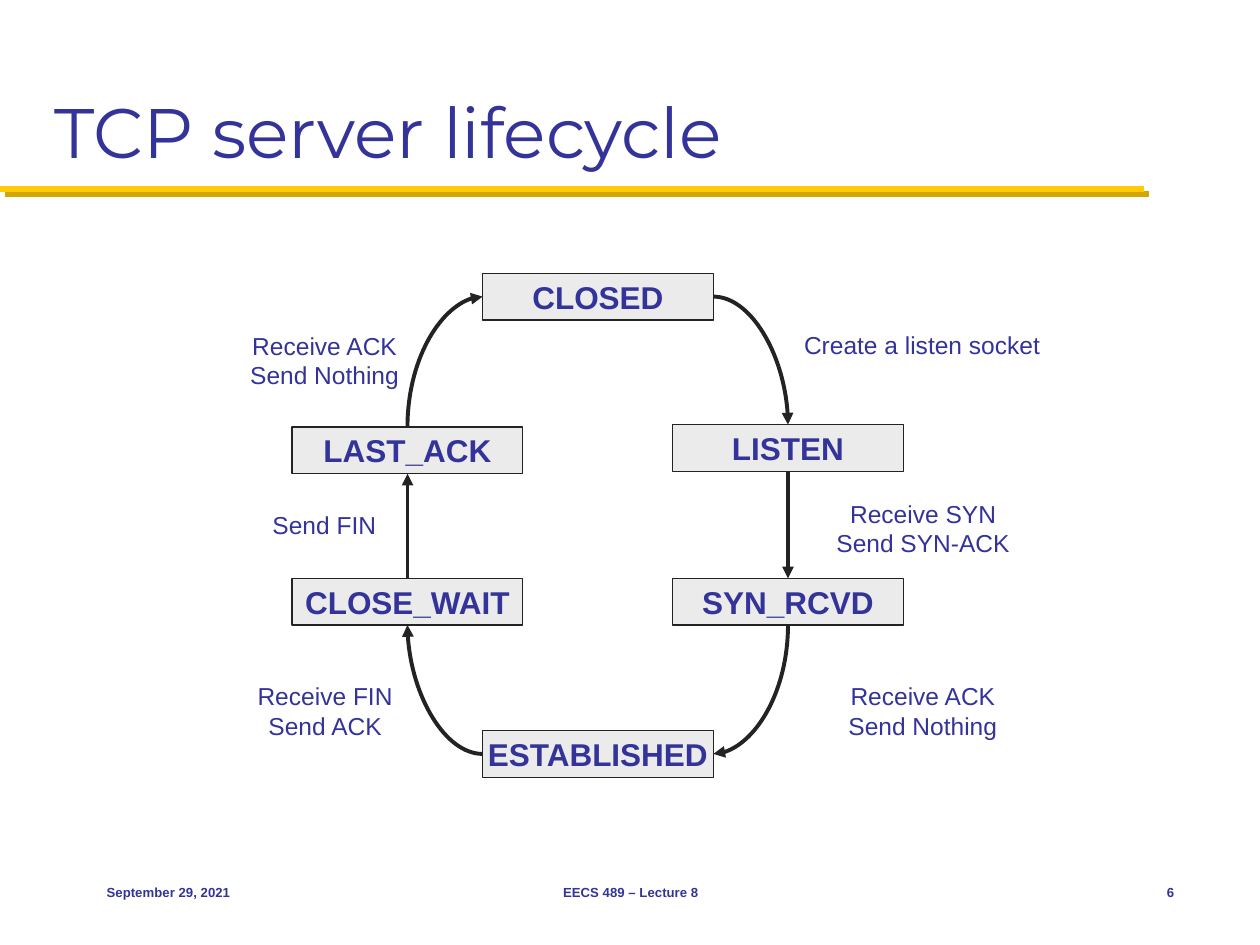
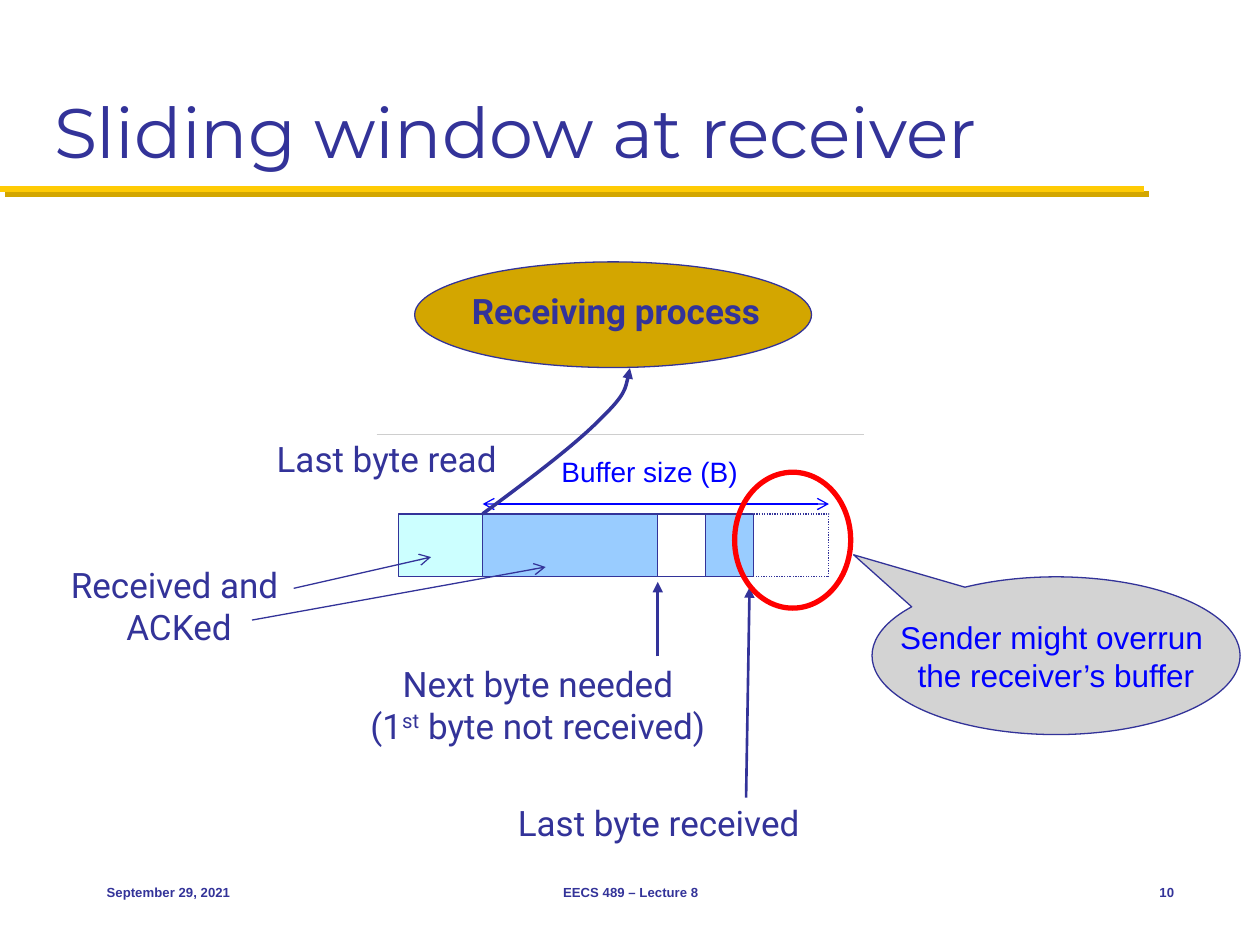
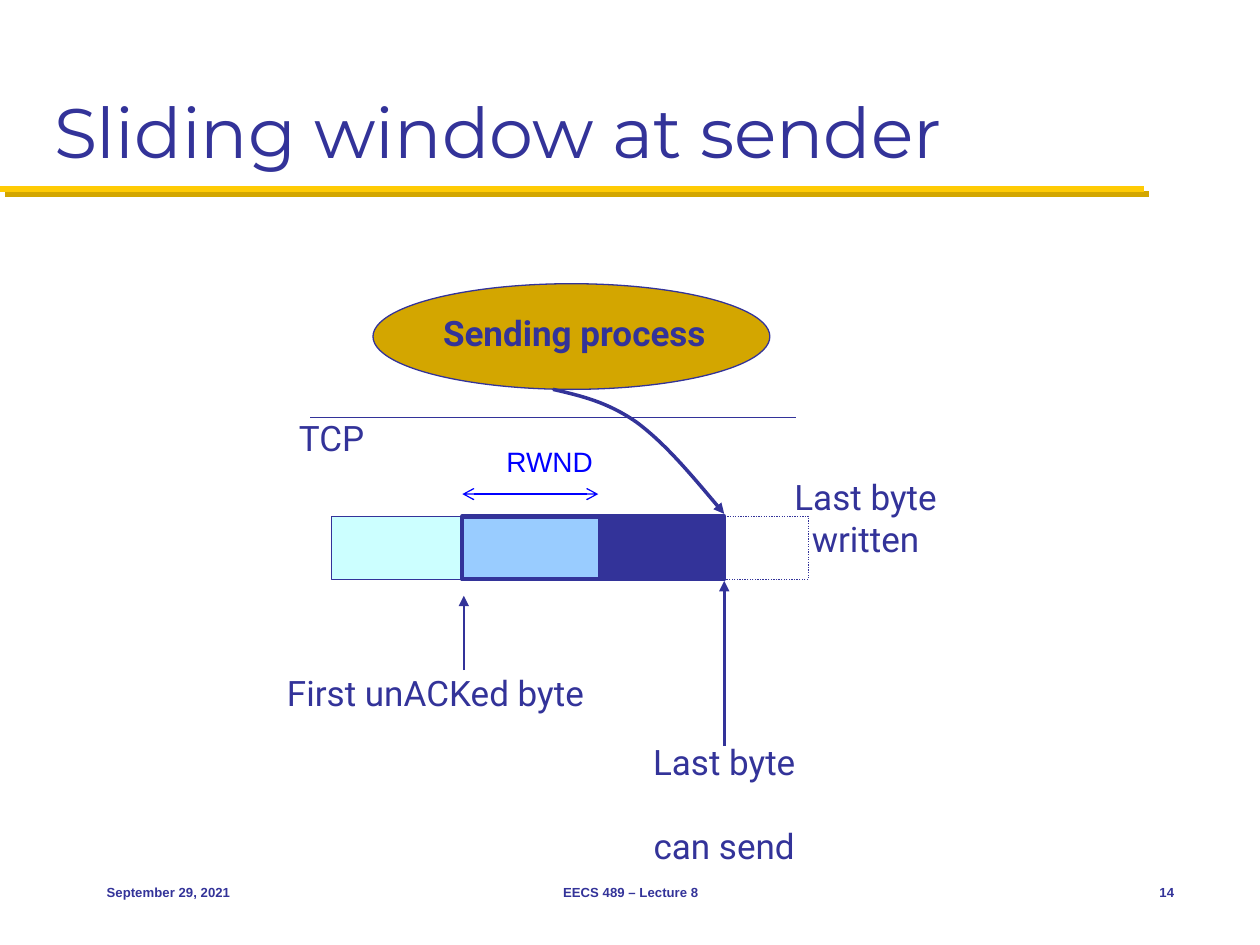
from lxml import etree
from pptx import Presentation
from pptx import util as u
from pptx.dml.color import RGBColor
from pptx.enum import dml, shapes, text
from pptx.oxml.ns import qn

COLOURS = {
    "navy": "333399", "yellow": "FFCB05", "gold": "D3A600", "ink": "232323",
    "state": "EBEBEB", "rule": "CECECE", "cyan": "CCFFFF", "sky": "99CCFF",
    "white": "FFFFFF", "blue": "0000FF", "red": "FF0000", "callout": "D3D3D3",
}
RECT, OVAL = shapes.MSO_SHAPE.RECTANGLE, shapes.MSO_SHAPE.OVAL
STRAIGHT, CURVE = shapes.MSO_CONNECTOR.STRAIGHT, shapes.MSO_CONNECTOR.CURVE
ROBOTO = {"name": "Roboto", "size": u.Pt(20)}
BLUE_LABEL = {"size": u.Pt(16), "colour": "blue"}


def put(slide, form, box, words="", fill=None, outline="navy", weight=0.75, dash=None,
        align="CENTER", anchor="MIDDLE", wrap=False, gap=0, colour="navy", **font):
    place = [u.Cm(length) for length in box]
    if form is None:
        item = slide.shapes.add_textbox(*place)
    else:
        item = slide.shapes.add_shape(form, *place)
        item.shadow.inherit = False
        if fill:
            item.fill.solid()
            item.fill.fore_color.rgb = RGBColor.from_string(COLOURS[fill])
        else:
            item.fill.background()
        item.line.color.rgb = RGBColor.from_string(COLOURS[outline])
        item.line.width = u.Pt(weight)
        if dash:
            item.line.dash_style = dash
    if not words:
        return item
    frame = item.text_frame
    frame.word_wrap = wrap
    frame.vertical_anchor = text.MSO_ANCHOR[anchor]
    style = {"name": "Arial", "size": u.Pt(18), "bold": False, **font}
    for number, sentence in enumerate(words.split("\n")):
        paragraph = frame.add_paragraph() if number else frame.paragraphs[0]
        paragraph.alignment = text.PP_ALIGN[align]
        if number and gap:
            paragraph.space_before = u.Pt(gap)
        for row, line in enumerate(sentence.split("\v")):
            if row:
                paragraph.add_line_break()
            for order, piece in enumerate(line.split("^")):
                run = paragraph.add_run()
                run.text = piece
                for key, value in style.items():
                    setattr(run.font, key, value)
                run.font.color.rgb = RGBColor.from_string(COLOURS[colour])
                if order % 2:
                    run.font._element.set("baseline", "30000")
    return item


def stroke(item, colour="navy", weight=0.75, **ends):
    item.line.color.rgb = RGBColor.from_string(COLOURS[colour])
    item.line.width = u.Pt(weight)
    outline = item._element.spPr.find(qn("a:ln"))
    for end in ("headEnd", "tailEnd"):
        if end in ends:
            etree.SubElement(outline, qn("a:" + end), type=ends[end])
    return etree.SubElement(item._element.spPr, qn("a:effectLst"))


deck = Presentation()
deck.slide_width, deck.slide_height = u.Cm(25.4), u.Cm(19.05)

pages = []
for title, page_number in [
    ("TCP server lifecycle", "6"),
    ("Sliding window at receiver", "10"),
    ("Sliding window at sender", "14"),
]:
    page = deck.slides.add_slide(deck.slide_layouts[6])
    band = page.shapes.add_connector(STRAIGHT, 0, u.Cm(3.81), u.Cm(23.06), u.Cm(3.81))
    effects = stroke(band, "yellow", 3.5)
    shadow = etree.SubElement(effects, qn("a:outerShdw"), dist="53340", dir="2700000",
                              algn="ctr", rotWithShape="0")
    etree.SubElement(shadow, qn("a:srgbClr"), val=COLOURS["gold"])
    put(page, None, (0.84, 0.43, 23.7, 3.18), title, align="LEFT", anchor="BOTTOM",
        wrap=True, name="Montserrat", size=u.Pt(40))
    for left, width, footer, align in [
        (1.9, 5.28, "September 29, 2021", "LEFT"),
        (8.69, 8.05, "EECS 489 – Lecture 8", "CENTER"),
        (22.22, 1.7, page_number, "RIGHT"),
    ]:
        put(page, None, (left, 17.35, width, 1.27), footer, align=align, wrap=True,
            size=u.Pt(7.5), bold=True)
    pages.append(page)
lifecycle, receiver, sender = pages

states = {}
for state, left, top in [
    ("CLOSED", 9.73, 5.51),
    ("LISTEN", 13.56, 8.56),
    ("SYN_RCVD", 13.56, 11.66),
    ("ESTABLISHED", 9.73, 14.73),
    ("CLOSE_WAIT", 5.89, 11.66),
    ("LAST_ACK", 5.89, 8.61),
]:
    states[state] = put(lifecycle, RECT, (left, top, 4.65, 0.94), state, fill="state",
                        outline="ink", bold=True)

TOP, LEFT, BOTTOM, RIGHT = range(4)
for start, start_side, finish, finish_side, route, arrow_end in [
    ("CLOSED", RIGHT, "LISTEN", TOP, CURVE, "tailEnd"),
    ("LISTEN", BOTTOM, "SYN_RCVD", TOP, STRAIGHT, "tailEnd"),
    ("ESTABLISHED", RIGHT, "SYN_RCVD", BOTTOM, CURVE, "headEnd"),
    ("ESTABLISHED", LEFT, "CLOSE_WAIT", BOTTOM, CURVE, "tailEnd"),
    ("CLOSE_WAIT", TOP, "LAST_ACK", BOTTOM, STRAIGHT, "tailEnd"),
    ("CLOSED", LEFT, "LAST_ACK", TOP, CURVE, "headEnd"),
]:
    transition = lifecycle.shapes.add_connector(route, 0, 0, 0, 0)
    transition.begin_connect(states[start], start_side)
    transition.end_connect(states[finish], finish_side)
    if route == CURVE:
        transition._element.spPr.find(qn("a:prstGeom")).set("prst", "curvedConnector2")
    stroke(transition, "ink", 2.25, **{arrow_end: "triangle"})

for box, event in [
    ((15.95, 6.53, 5.28, 0.86), "Create a listen socket"),
    ((16.59, 9.93, 4.04, 1.45), "Receive SYN\nSend SYN-ACK"),
    ((16.84, 13.61, 3.53, 1.45), "Receive ACK\nSend Nothing"),
    ((4.93, 13.61, 3.25, 1.45), "Receive FIN\nSend ACK"),
    ((5.23, 10.16, 2.62, 0.86), "Send FIN"),
    ((4.78, 6.55, 3.53, 1.45), "Receive ACK\nSend Nothing"),
]:
    put(lifecycle, None, box, event, anchor="TOP", size=u.Pt(14))

for page, oval_box, label_box, process in [
    (receiver, (8.36, 5.28, 8, 2.13), (9.04, 5.72, 6.76, 1.09), "Receiving process"),
    (sender, (7.52, 5.72, 8, 2.13), (8.48, 6.15, 6.2, 1.09), "Sending process"),
]:
    put(page, OVAL, oval_box, fill="gold")
    put(page, None, label_box, process, anchor="TOP", bold=True, **ROBOTO)

DOTTED = dml.MSO_LINE.ROUND_DOT
for page, top, left, width, fill, weight, dash in [
    (receiver, 10.36, 8.03, 1.7, "cyan", 0.75, None),
    (receiver, 10.36, 9.73, 3.63, "sky", 0.75, None),
    (receiver, 10.36, 13.26, 0.97, "white", 0.75, None),
    (receiver, 10.36, 15.16, 1.55, None, 0.75, DOTTED),
    (receiver, 10.36, 14.22, 0.97, "sky", 0.75, None),
    (sender, 10.41, 6.68, 2.67, "cyan", 0.75, None),
    (sender, 10.41, 9.32, 5.28, "sky", 2.5, None),
    (sender, 10.41, 14.6, 1.7, None, 0.75, DOTTED),
    (sender, 10.41, 12.06, 2.54, "navy", 0.75, None),
]:
    put(page, RECT, (left, top, width, 1.27), fill=fill, weight=weight, dash=dash)

POINTER = {"weight": 1.5, "tailEnd": "triangle"}
SPAN = {"colour": "blue", "headEnd": "arrow", "tailEnd": "arrow"}
for page, ends, look in [
    (receiver, (7.59, 8.76, 17.42, 8.76), {"colour": "rule"}),
    (receiver, (13.26, 13.23, 13.26, 11.73), POINTER),
    (receiver, (15.04, 16.08, 15.11, 11.84), POINTER),
    (receiver, (5.92, 11.86, 8.69, 11.23), {"tailEnd": "arrow"}),
    (receiver, (5.08, 12.5, 11, 11.43), {"tailEnd": "arrow"}),
    (receiver, (9.73, 10.16, 16.71, 10.16), SPAN),
    (sender, (6.25, 8.41, 16.05, 8.41), {}),
    (sender, (9.35, 13.51, 9.35, 12.01), POINTER),
    (sender, (14.6, 15.04, 14.6, 11.71), POINTER),
    (sender, (9.32, 9.96, 12.06, 9.96), SPAN),
]:
    stroke(page.shapes.add_connector(STRAIGHT, *[u.Cm(end) for end in ends]), **look)

for page, start, bends in [
    (receiver, (9.73, 10.36), [(10.69, 9.65), (11.63, 8.94), (12.12, 8.43),
                               (12.62, 7.95), (12.65, 7.67), (12.7, 7.42)]),
    (sender, (11.15, 7.85), [(11.71, 7.98), (12.24, 8.1), (12.83, 8.51),
                             (13.41, 8.94), (14, 9.65), (14.6, 10.36)]),
]:
    builder = page.shapes.build_freeform(u.Cm(start[0]), u.Cm(start[1]))
    builder.add_line_segments([(u.Cm(x), u.Cm(y)) for x, y in bends], close=False)
    data_flow = builder.convert_to_shape()
    outline = data_flow._element.find(".//" + qn("a:path"))
    legs = outline.findall(qn("a:lnTo"))
    for first in (0, 3):
        bezier = etree.SubElement(outline, qn("a:cubicBezTo"))
        for leg in legs[first:first + 3]:
            bezier.append(leg[0])
            outline.remove(leg)
    data_flow.fill.background()
    stroke(data_flow, weight=2, tailEnd="triangle")

for page, box, label, extra in [
    (receiver, (7.16, 13.23, 7.37, 1.96), "Next byte needed\v(1^st^ byte not received)", {}),
    (receiver, (5.28, 8.69, 5.03, 1.12), "Last byte read", {}),
    (receiver, (10.13, 16.03, 6.3, 1.12), "Last byte received", {}),
    (receiver, (1.17, 11.23, 4.88, 1.96), "Received and \vACKed", {}),
    (sender, (5.44, 13.41, 6.68, 1.12), "First unACKed byte", {}),
    (sender, (12.9, 14.81, 3.4, 1.96), "Last byte\ncan send", {"gap": 24}),
    (sender, (5.72, 8.28, 1.93, 1.09), "TCP", {}),
    (sender, (15.55, 9.47, 3.8, 1.96), "Last byte written", {"wrap": True}),
]:
    put(page, None, box, label, anchor="TOP", **ROBOTO, **extra)

for page, box, measure in [
    (receiver, (11.07, 9.04, 5, 1.12), "Buffer size (B)"),
    (sender, (9.96, 8.84, 2.54, 0.94), "RWND"),
]:
    put(page, None, box, measure, align="LEFT", anchor="TOP", wrap=True, **BLUE_LABEL)

put(receiver, OVAL, (14.81, 9.52, 2.34, 2.74), outline="red", weight=3)
warning = put(receiver, shapes.MSO_SHAPE.OVAL_CALLOUT, (17.58, 11.63, 7.42, 3.18),
              "Sender might overrun \vthe receiver’s buffer", fill="callout", colour="blue")
warning.adjustments[0], warning.adjustments[1] = -0.55, -0.64

deck.save("out.pptx")
